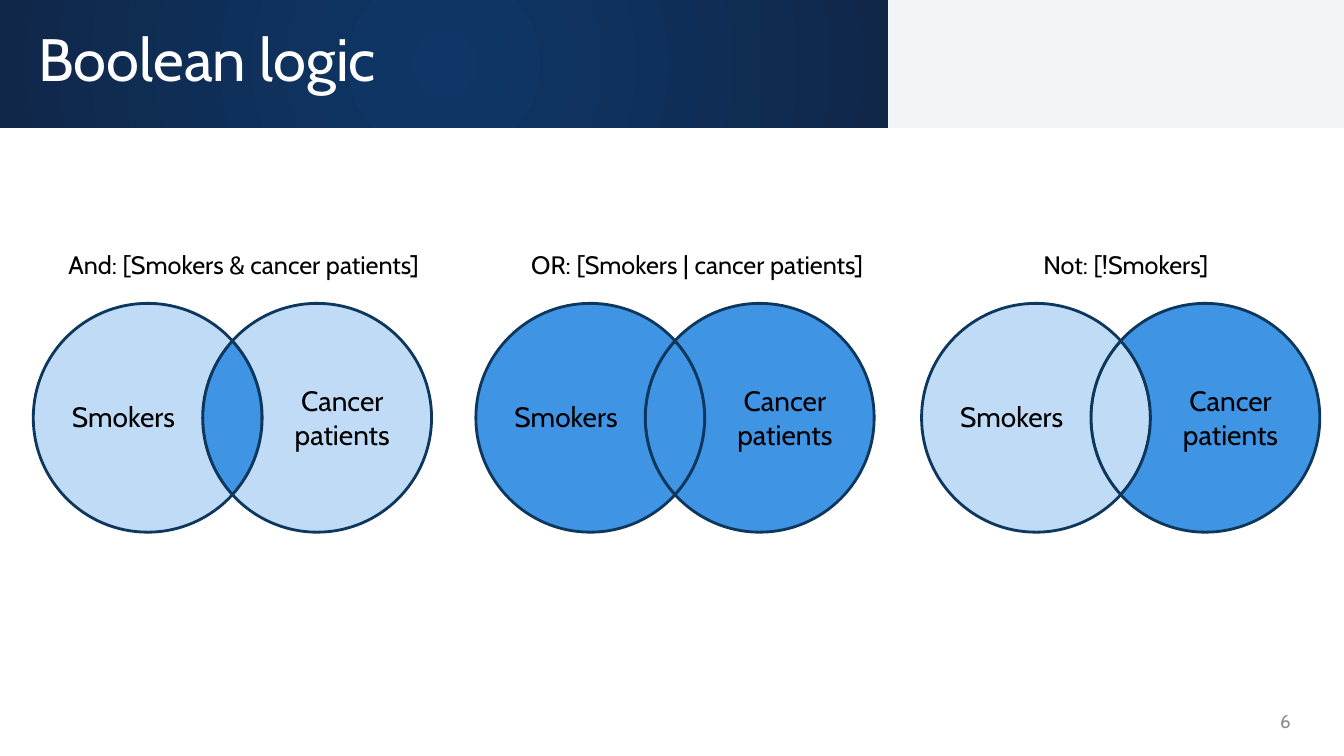
from math import acos, cos, degrees, radians, sin, tan

from lxml import etree
from pptx import Presentation
from pptx.dml.color import RGBColor
from pptx.enum.shapes import MSO_SHAPE
from pptx.enum.text import MSO_ANCHOR, MSO_AUTO_SIZE, PP_ALIGN
from pptx.oxml import parse_xml
from pptx.oxml.ns import nsdecls, qn
from pptx.util import Inches, Pt

RECTANGLE = MSO_SHAPE.RECTANGLE
LEFT, CENTER, RIGHT = PP_ALIGN.LEFT, PP_ALIGN.CENTER, PP_ALIGN.RIGHT
TOP, MIDDLE = MSO_ANCHOR.TOP, MSO_ANCHOR.MIDDLE
NO_AUTOFIT = MSO_AUTO_SIZE.NONE

FONT = "Cabin"
COLORS = {
    "panel": "F0F4F8", "band_center": "0E3767", "band_edge": "10274A",
    "selected": "3F94E4", "unselected": "BFDBF6", "outline": "0D375D",
    "title": "FFFFFF", "text": "000000", "number": "8C8C8C",
}

# Venn geometry in inches
RADIUS = 1.135
CENTER_GAP = 1.68
HALF_ANGLE = degrees(acos(CENTER_GAP / 2 / RADIUS))
DIAGRAM_TOP = 3.01
CAPTION_TOP = 2.42

# Left edge, caption, caption left and width, fills of left, overlap and right
DIAGRAMS = [
    (0.33, "And: [Smokers & cancer patients]", 0.58, 4.44,
     ("unselected", "selected", "unselected")),
    (4.72, "OR: [Smokers | cancer patients]", 5.17, 3.91,
     ("selected", "selected", "selected")),
    (9.14, "Not: [!Smokers]", 10.25, 2.8,
     ("unselected", "unselected", "selected")),
]


def color(name):
    return RGBColor.from_string(COLORS[name])


def format_text(shape, text, size, name="text", align=LEFT, anchor=TOP, spacing=None):
    frame = shape.text_frame
    frame.word_wrap = True
    frame.auto_size = NO_AUTOFIT
    frame.vertical_anchor = anchor
    para = frame.paragraphs[0]
    para.alignment = align
    para.line_spacing = spacing
    span = para.add_run()
    span.text = text
    span.font.name = FONT
    span.font.size = Pt(size)
    span.font.color.rgb = color(name)


def add_text(page, box, text, size, **style):
    shape = page.shapes.add_textbox(*(Inches(length) for length in box))
    format_text(shape, text, size, **style)


def add_band(page, box):
    shape = page.shapes.add_shape(RECTANGLE, *(Inches(length) for length in box))
    shape.shadow.inherit = False
    shape.line.fill.background()
    return shape


def add_header(page, left, top, width, height):
    # Pale panel on the right
    split = 8.81
    panel = add_band(page, (left + split, top, width - split, height))
    panel.fill.solid()
    panel.fill.fore_color.rgb = color("panel")
    tint = panel._element.spPr.find(qn("a:solidFill"))[0]
    etree.SubElement(tint, qn("a:alpha"), val="90000")

    # Dark band with a radial gradient
    band = add_band(page, (left, top, split, height))
    band.fill.gradient()
    for stop, name in zip(band.fill.gradient_stops, ("band_center", "band_edge")):
        stop.color.rgb = color(name)
    gradient = band._element.spPr.find(qn("a:gradFill"))
    gradient.replace(gradient.find(qn("a:lin")), parse_xml(
        f'<a:path {nsdecls("a")} path="circle">'
        '<a:fillToRect l="50000" t="50000" r="50000" b="50000"/></a:path>'))

    # Title in front of the band
    title = page.shapes.title
    title.left, title.top = Inches(left + 0.28), Inches(top + 0.1)
    title.width, title.height = Inches(8.26), Inches(1.08)
    format_text(title, "Boolean logic", 42.7, name="title", anchor=MIDDLE, spacing=0.8)
    page.shapes._spTree.append(title._element)


def arc(center_x, center_y, start, end):
    """Return Bezier points of an arc, split where it meets the axes."""
    low, high = min(start, end), max(start, end)
    axes = [angle for angle in range(-360, 361, 90) if low < angle < high]
    stops = [start, *(axes if start < end else axes[::-1]), end]

    def point(angle, pull):
        x = cos(angle) - pull * sin(angle)
        y = sin(angle) + pull * cos(angle)
        return Inches(center_x + RADIUS * x), Inches(center_y + RADIUS * y)

    points = [point(radians(start), 0)]
    for begin, finish in zip(map(radians, stops), map(radians, stops[1:])):
        pull = 4 / 3 * tan((finish - begin) / 4)
        points += [point(begin, pull), point(finish, -pull), point(finish, 0)]
    return points


def add_region(page, points, fill):
    builder = page.shapes.build_freeform(*points[0])
    builder.add_line_segments(points[1:], close=True)
    region = builder.convert_to_shape()
    # Every three points form one curve
    lines = list(region._element.iter(qn("a:lnTo")))
    for index in range(0, len(points) - 1, 3):
        curve = etree.Element(qn("a:cubicBezTo"))
        lines[index].addprevious(curve)
        for line in lines[index:index + 3]:
            curve.append(line[0])
            line.getparent().remove(line)
    region.shadow.inherit = False
    region.fill.solid()
    region.fill.fore_color.rgb = color(fill)
    region.line.color.rgb = color("outline")
    region.line.width = Pt(2)


def add_venn(page, left, top, fills):
    first, middle = left + RADIUS, top + RADIUS
    second = first + CENTER_GAP
    angle = HALF_ANGLE
    # Edges of the overlap, each running from top to bottom
    overlap_right = arc(first, middle, -angle, angle)
    overlap_left = arc(second, middle, 180 + angle, 180 - angle)
    # Outer edges of the two circles
    outer_left = arc(first, middle, angle, 360 - angle)
    outer_right = arc(second, middle, 180 - angle, angle - 180)
    left_fill, overlap_fill, right_fill = fills
    add_region(page, overlap_right + overlap_left[-2::-1], overlap_fill)
    add_region(page, outer_left + overlap_left[1:], left_fill)
    add_region(page, overlap_right + outer_right[1:], right_fill)

    # Set names
    add_text(page, (left + 0.03, top + 0.9, 1.73, 0.44), "Smokers", 20, align=CENTER)
    add_text(page, (left + 2.2, top + 0.75, 1.73, 0.77), "Cancer patients", 20, align=CENTER)


def main():
    deck = Presentation()
    deck.slide_width, deck.slide_height = Inches(13.33), Inches(7.5)
    page = deck.slides.add_slide(deck.slide_layouts[5])
    add_header(page, 0, 0, 13.33, 1.27)
    for left, caption, caption_left, caption_width, fills in DIAGRAMS:
        add_text(page, (caption_left, CAPTION_TOP, caption_width, 0.4), caption, 18)
        add_venn(page, left, DIAGRAM_TOP, fills)
    # Page number
    add_text(page, (9.48, 6.95, 3.42, 0.4), "6", 13.3, name="number", align=RIGHT, anchor=MIDDLE)
    deck.save("out.pptx")


if __name__ == "__main__":
    main()
